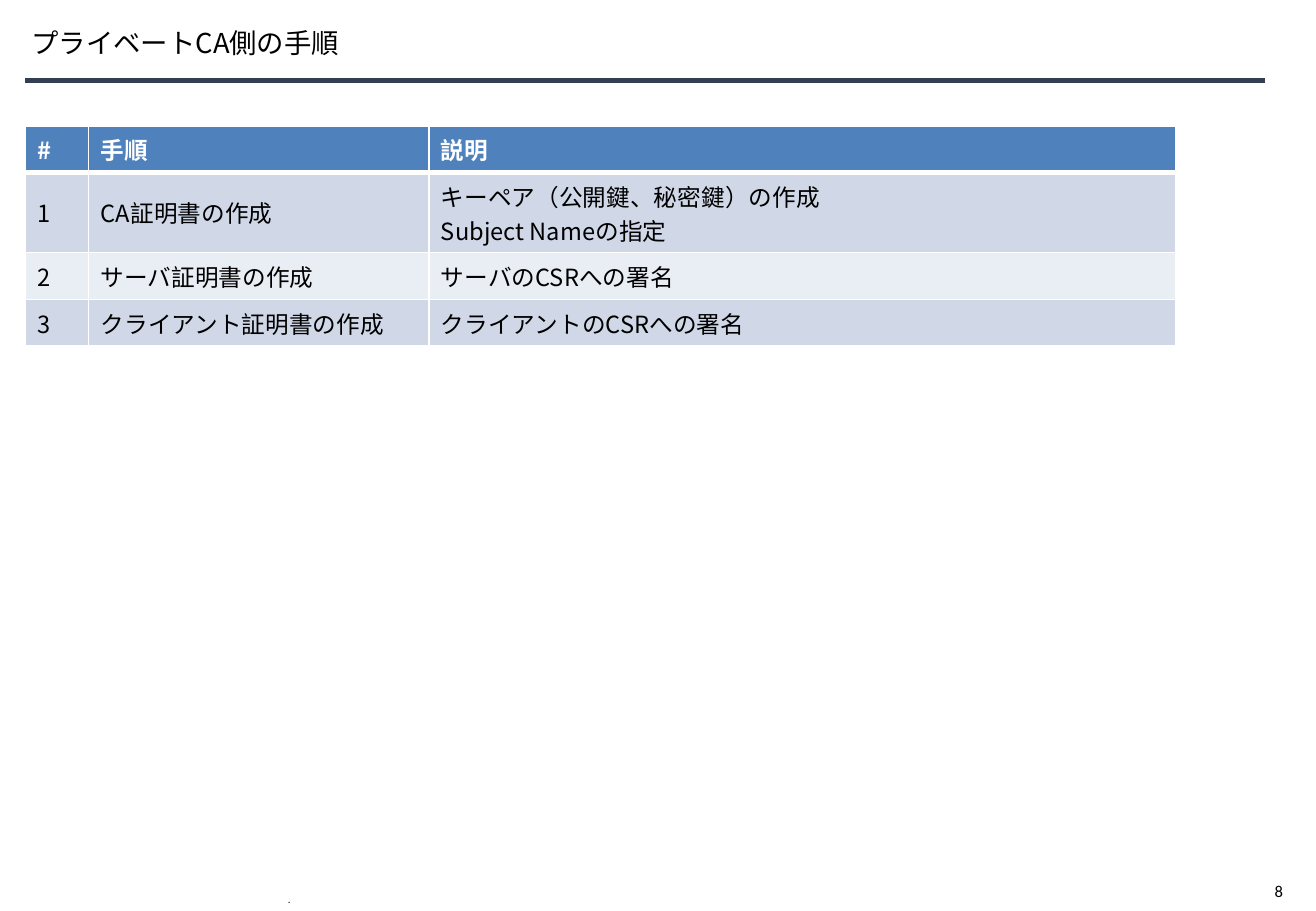
from dataclasses import dataclass
from typing import Any

from lxml.etree import SubElement
from pptx import Presentation
from pptx.dml.color import RGBColor
from pptx.enum.shapes import MSO_CONNECTOR
from pptx.enum.text import MSO_ANCHOR
from pptx.oxml.ns import qn
from pptx.util import Inches, Pt

WIDTH, HEIGHT = Inches(10.83), Inches(7.5)
JP_FONT, LATIN_FONT = "Noto Sans CJK JP", "Calibri"
BLACK = RGBColor(0x00, 0x00, 0x00)
WHITE = RGBColor(0xFF, 0xFF, 0xFF)
NAVY = RGBColor(0x33, 0x3F, 0x50)
HEADER_BLUE = RGBColor(0x4F, 0x81, 0xBD)
BANDS = (RGBColor(0xE9, 0xED, 0xF4), RGBColor(0xD0, 0xD8, 0xE8))

COLUMNS = (4.8, 25.85, 56.79)
ROWS = (5.07, 8.8, 5.13, 5.13)
STEPS = (
    ("#", "手順", "説明"),
    ("1", "CA証明書の作成", "キーペア（公開鍵、秘密鍵）の作成\nSubject Nameの指定"),
    ("2", "サーバ証明書の作成", "サーバのCSRへの署名"),
    ("3", "クライアント証明書の作成", "クライアントのCSRへの署名"),
)


@dataclass(frozen=True)
class Label:
    text: str
    box: tuple[float, float, float, float]
    size: float
    font: str
    frame: dict[str, Any]
    paragraph: dict[str, Any]


LABELS = (
    Label("プライベートCA側の手順", (2.4, 1.73, 91.6, 6.27), 16.2, JP_FONT,
          {"word_wrap": True, "vertical_anchor": MSO_ANCHOR.MIDDLE, "margin_left": 0},
          {"line_spacing": 0.9}),
    Label(".", (20.96, 98.13, 58.17, 1.87), 5.7, JP_FONT,
          {"word_wrap": True, "vertical_anchor": MSO_ANCHOR.BOTTOM},
          {"line_spacing": Pt(1.6)}),
    Label("8", (95.94, 96, 3.32, 3.6), 9.8, LATIN_FONT, {"word_wrap": False}, {}),
)


def across(percent: float) -> int:
    return round(WIDTH * percent / 100)


def down(percent: float) -> int:
    return round(HEIGHT * percent / 100)


def apply(target: Any, values: dict[str, Any]) -> None:
    for name, value in values.items():
        setattr(target, name, value)


def write(tf: Any, text: str, size: float, font: str, color: RGBColor,
          bold: bool = False, paragraph: dict[str, Any] | None = None) -> None:
    tf.text = text
    for p in tf.paragraphs:
        apply(p, paragraph or {})
        for r in p.runs:
            apply(r.font, {"size": Pt(size), "name": font, "bold": bold})
            r.font.color.rgb = color
            SubElement(r.font._element, qn("a:ea"), typeface=font)


def add_label(s: Any, label: Label) -> None:
    x, y, w, h = label.box
    tf = s.shapes.add_textbox(across(x), down(y), across(w), down(h)).text_frame
    apply(tf, label.frame)
    write(tf, label.text, label.size, label.font, BLACK, paragraph=label.paragraph)


def add_rule(s: Any) -> None:
    sp = s.shapes.add_connector(
        MSO_CONNECTOR.STRAIGHT, across(1.94), down(8.8), across(96.12), down(8.8))
    sp.line.color.rgb = NAVY
    sp.line.width = Pt(3)
    SubElement(sp._element.spPr, qn("a:effectLst"))


def set_borders(cell: Any, widths: dict[str, float]) -> None:
    tc_pr = cell._tc.get_or_add_tcPr()
    for index, (side, width) in enumerate(widths.items()):
        ln = SubElement(tc_pr, qn(f"a:{side}"), w=str(Pt(width)))
        fill = SubElement(ln, qn("a:solidFill"))
        SubElement(fill, qn("a:srgbClr"), val=str(WHITE))
        tc_pr.insert(index, ln)


def add_steps(s: Any) -> None:
    table = s.shapes.add_table(
        len(ROWS), len(COLUMNS), across(1.94), down(13.87),
        across(sum(COLUMNS)), down(sum(ROWS))).table
    for column, width in zip(table.columns, COLUMNS):
        column.width = across(width)
    for i, (row, height, texts) in enumerate(zip(table.rows, ROWS, STEPS)):
        row.height = down(height)
        header = i == 0
        for cell, text in zip(row.cells, texts):
            cell.vertical_anchor = MSO_ANCHOR.TOP if header else MSO_ANCHOR.MIDDLE
            cell.fill.solid()
            cell.fill.fore_color.rgb = HEADER_BLUE if header else BANDS[i % 2]
            set_borders(cell, {"lnL": 1, "lnR": 1, "lnT": 3 if i == 1 else 1,
                               "lnB": 3 if header else 1})
            write(cell.text_frame, text, 14, JP_FONT, WHITE if header else BLACK, header)


def main() -> None:
    prs = Presentation()
    apply(prs, {"slide_width": WIDTH, "slide_height": HEIGHT})
    s = prs.slides.add_slide(prs.slide_layouts[6])
    add_rule(s)
    for label in LABELS:
        add_label(s, label)
    add_steps(s)
    prs.save("out.pptx")


if __name__ == "__main__":
    main()
